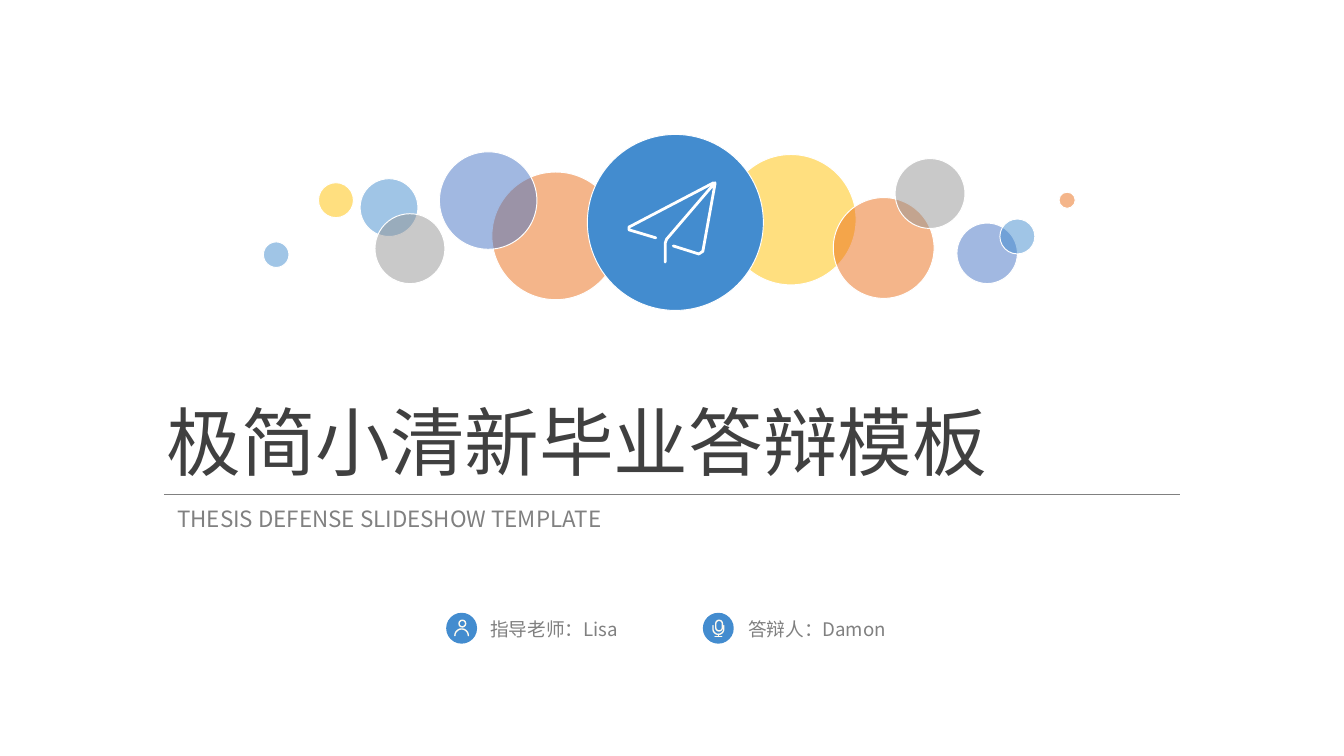
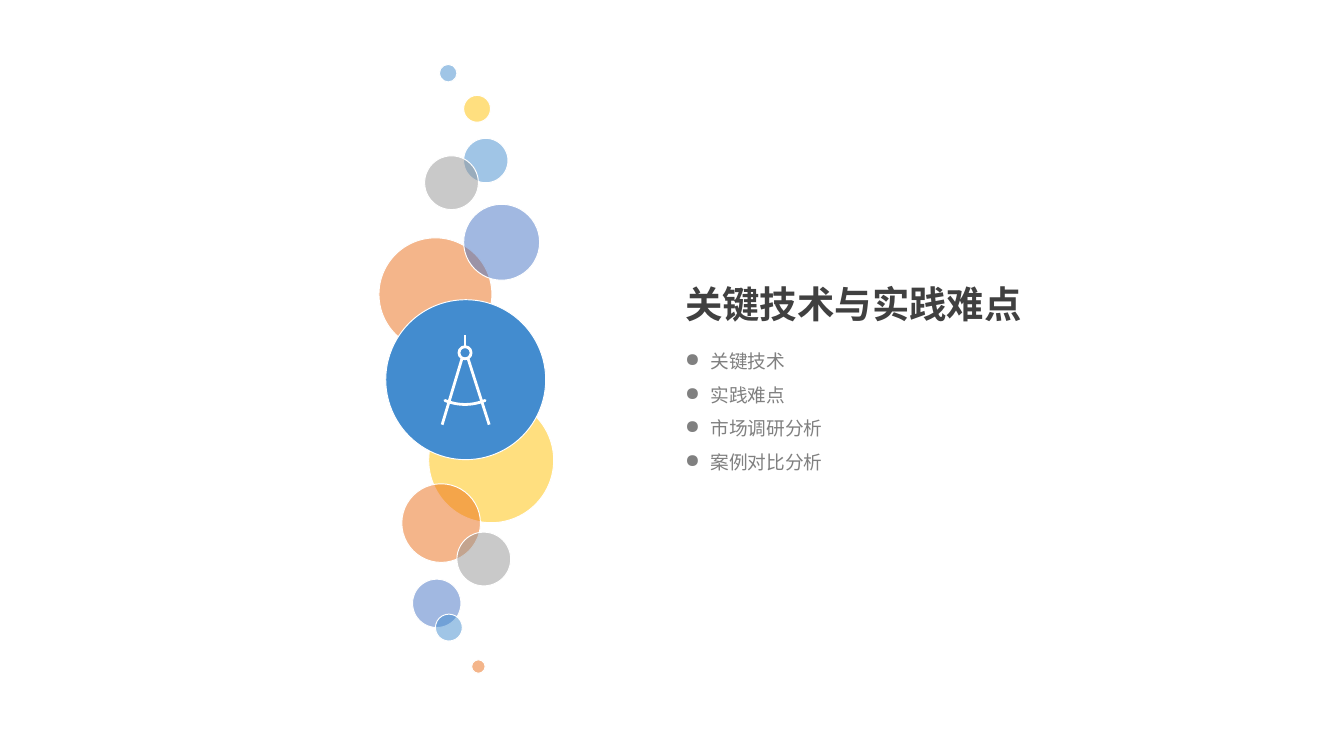
import math

import lxml.etree
import pptx
import pptx.dml.color
import pptx.enum.shapes
import pptx.enum.text
import pptx.oxml.ns
import pptx.util

SCALE = 4572
FONT = "Noto Sans CJK SC"
BLUE, ORANGE, INDIGO = "438CCF", "EB6C17", "4472C4"
YELLOW, GREY, WHITE, CREAM = "FFC000", "949494", "FFFFFF", "FEFAEE"
DARK, MUTED = "404040", "808080"
TINTS = [YELLOW, ORANGE, INDIGO, GREY, BLUE, ORANGE,
         ORANGE, INDIGO, BLUE, GREY, YELLOW, BLUE]
ROW = [(688, 30, 194), (848, 94, 150), (1032, 132, 90), (940, 36, 104),
       (1096, 126, 52), (1184, 86, 24), (340, 56, 190), (262, 26, 145),
       (144, 66, 86), (166, 118, 104), (82, 72, 52), (0, 160, 38),
       (482, 0, 262)]
COLUMN = [(74, 496, 186), (34, 624, 117), (50, 766, 72), (116, 696, 80),
          (84, 818, 40), (138, 886, 20), (0, 258, 168), (126, 208, 113),
          (126, 110, 66), (68, 136, 80), (126, 46, 40), (90, 0, 26),
          (10, 350, 238)]
KIND = pptx.enum.shapes.MSO_SHAPE
ALIGN = pptx.enum.text.PP_ALIGN
qn = pptx.oxml.ns.qn


def emu(px):
    """Turn px into EMU."""
    return pptx.util.Emu(round(px * SCALE))


def paint(target, tone):
    """Set a hex colour on a fill or font."""
    if hasattr(target, "solid"):
        target.solid()
        target.fore_color.rgb = pptx.dml.color.RGBColor.from_string(tone)
    else:
        target.color.rgb = pptx.dml.color.RGBColor.from_string(tone)


def style(shape, fill, edge, width, alpha=None):
    """Set fill, line and opacity of a shape."""
    shape.shadow.inherit = False
    if fill:
        paint(shape.fill, fill)
        if alpha:
            tone = shape.element.spPr.find(qn("a:solidFill"))[0]
            lxml.etree.SubElement(tone, qn("a:alpha"), val=str(alpha * 1000))
    else:
        shape.fill.background()
    if edge:
        paint(shape.line.fill, edge)
        shape.line.width = pptx.util.Pt(width)
    else:
        shape.line.fill.background()


def add(parts, kind, box, fill=None, edge=None, width=0.5, alpha=None):
    """Add a styled preset shape."""
    shape = parts.add_shape(kind, *map(emu, box))
    style(shape, fill, edge, width, alpha)
    return shape


def rule(parts, start, end, tone, width):
    """Add a straight line."""
    line = parts.add_connector(pptx.enum.shapes.MSO_CONNECTOR.STRAIGHT,
                               *map(emu, (*start, *end)))
    paint(line.line.fill, tone)
    line.line.width = pptx.util.Pt(width)
    lxml.etree.SubElement(line.element.spPr, qn("a:effectLst"))


def trace(parts, left, top, strokes, tone, width):
    """Draw open strokes relative to a corner."""
    paths = [[(emu(left + x), emu(top + y)) for x, y in stroke]
             for stroke in strokes]
    pen = parts.build_freeform(*paths[0][0])
    for index, path in enumerate(paths):
        if index:
            pen.move_to(*path[0])
        pen.add_line_segments(path[1:], close=False)
    shape = pen.convert_to_shape()
    style(shape, None, tone, width)
    line = shape.element.spPr.find(qn("a:ln"))
    line.set("cap", "rnd")
    lxml.etree.SubElement(line, qn("a:round"))


def arc(x, y, radius, start, end):
    """List points along an arc given in degrees."""
    turns = [math.radians(start + (end - start) * i / 24) for i in range(25)]
    return [(x + radius * math.cos(t), y + radius * math.sin(t)) for t in turns]


def write(frame, text, size, tone, bold=False, align=None):
    """Fill a text frame and format its runs."""
    frame.text = text
    for para in frame.paragraphs:
        if align is not None:
            para.alignment = align
        for run in para.runs:
            run.font.name = FONT
            run.font.size = pptx.util.Pt(size)
            run.font.bold = bold
            paint(run.font, tone)
            east = lxml.etree.Element(qn("a:ea"), typeface=FONT)
            run.font._element.find(qn("a:latin")).addnext(east)


def label(slide, box, text, size, tone, bold=False, align=None, wrap=True):
    """Add a text box that grows with its text."""
    frame = slide.shapes.add_textbox(*map(emu, box)).text_frame
    frame.word_wrap = wrap
    frame.auto_size = pptx.enum.text.MSO_AUTO_SIZE.SHAPE_TO_FIT_TEXT
    write(frame, text, size, tone, bold, align)
    return frame


def bubbles(slide, left, top, spots):
    """Place the tinted circles and return the corner of the main one."""
    for tone, (x, y, size) in zip(TINTS, spots):
        add(slide.shapes, KIND.OVAL, (left + x, top + y, size, size),
            tone, WHITE, alpha=50)
    x, y, size = spots[-1]
    add(slide.shapes, KIND.OVAL, (left + x, top + y, size, size), BLUE, WHITE)
    return left + x, top + y


def plane(slide, left, top):
    """Draw the paper plane."""
    wing = [(102, 154), (62, 142), (62, 138), (188, 72)]
    fold = [(128, 166), (166, 178), (172, 174), (190, 74), (190, 72),
            (118, 156), (116, 162), (116, 190)]
    trace(slide.shapes, left, top, [wing, fold], WHITE, 1.5)


def compass(slide, left, top):
    """Draw the pair of compasses."""
    parts = slide.shapes.add_group_shape().shapes
    add(parts, KIND.OVAL, (left + 109, top + 70, 18, 18), None, WHITE, 1.5)
    trace(parts, left, top, [arc(118, 78, 78, 112.6, 67.4)], WHITE, 1.5)
    for x, y, u, v in [(154, 186, 122, 86), (84, 186, 114, 86),
                       (118, 70, 118, 52)]:
        rule(parts, (left + x, top + y), (left + u, top + v), WHITE, 1.5)


def badge(slide, left, top, kind, capsule, strokes):
    """Draw a small round icon."""
    parts = slide.shapes.add_group_shape().shapes
    add(parts, KIND.OVAL, (left, top, 46, 46), BLUE)
    x, y, wide, high = capsule
    part = add(parts, kind, (left + x, top + y, wide, high), None, CREAM, 0.75)
    if kind == KIND.ROUNDED_RECTANGLE:
        part.adjustments[0] = 0.5
    trace(parts, left, top, strokes, CREAM, 0.75)


def credits(slide, left, top):
    """Place the two names with their icons."""
    body = [arc(23, 34, 10, 180, 360)]
    stand = [[(15, 19), *arc(23, 24, 8, 180, 0), (31, 19)],
             [(23, 32), (23, 35)], [(18, 35), (28, 35)]]
    badge(slide, left, top + 2, KIND.OVAL, (19, 11, 10, 10), body)
    badge(slide, left + 382, top + 2, KIND.ROUNDED_RECTANGLE,
          (19, 11, 10, 16), stand)
    for x, wide, text in [(46, 236, "指导老师：Lisa"),
                          (430, 250, "答辩人：Damon")]:
        label(slide, (left + x, top, wide, 54), text, 10, MUTED, wrap=False)


def heading(slide, left, top):
    """Place the title, its rule and the subtitle."""
    label(slide, (left, top, 1544, 154), "极简小清新毕业答辩模板", 40, DARK,
          align=ALIGN.JUSTIFY)
    rule(slide.shapes, (left + 16, top + 156), (left + 1528, top + 156),
         MUTED, 0.5)
    band = add(slide.shapes, KIND.ROUNDED_RECTANGLE,
               (left + 16, top + 170, 1512, 44))
    band.adjustments[0] = 0
    band.text_frame.vertical_anchor = pptx.enum.text.MSO_ANCHOR.MIDDLE
    write(band.text_frame, "THESIS DEFENSE SLIDESHOW TEMPLATE", 12, MUTED,
          align=ALIGN.JUSTIFY)


def topics(slide, left, top):
    """Place the section title and its bullet list."""
    label(slide, (left, top, 598, 88), "关键技术与实践难点", 20, DARK, True)
    items = ["关键技术", "实践难点", "市场调研分析", "案例对比分析"]
    frame = label(slide, (left, top + 86, 246, 216), "\n".join(items), 10,
                  MUTED, wrap=False)
    for para in frame.paragraphs:
        props = para._p.get_or_add_pPr()
        props.set("marL", str(emu(38)))
        props.set("indent", str(-emu(38)))
        lxml.etree.SubElement(props, qn("a:buChar"), char="●")
        para.line_spacing = 1.5


def cover(slide):
    """Build the cover slide."""
    heading(slide, 228, 580)
    credits(slide, 664, 910)
    plane(slide, *bubbles(slide, 392, 200, ROW))


def section(slide):
    """Build the section slide."""
    topics(slide, 1000, 408)
    compass(slide, *bubbles(slide, 564, 96, COLUMN))


def main():
    """Build and save the deck."""
    deck = pptx.Presentation()
    deck.slide_width, deck.slide_height = emu(2000), emu(1125)
    for build in (cover, section):
        build(deck.slides.add_slide(deck.slide_layouts[6]))
    deck.save("out.pptx")


if __name__ == "__main__":
    main()
